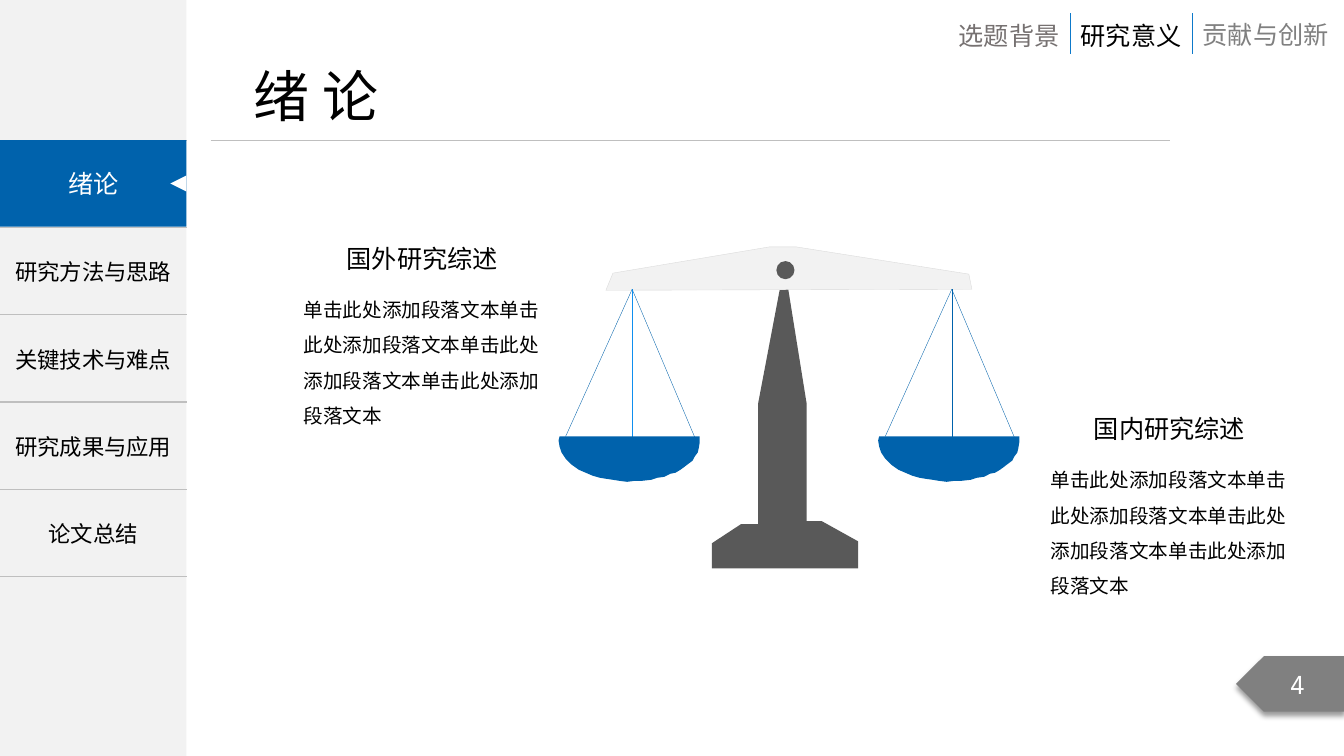
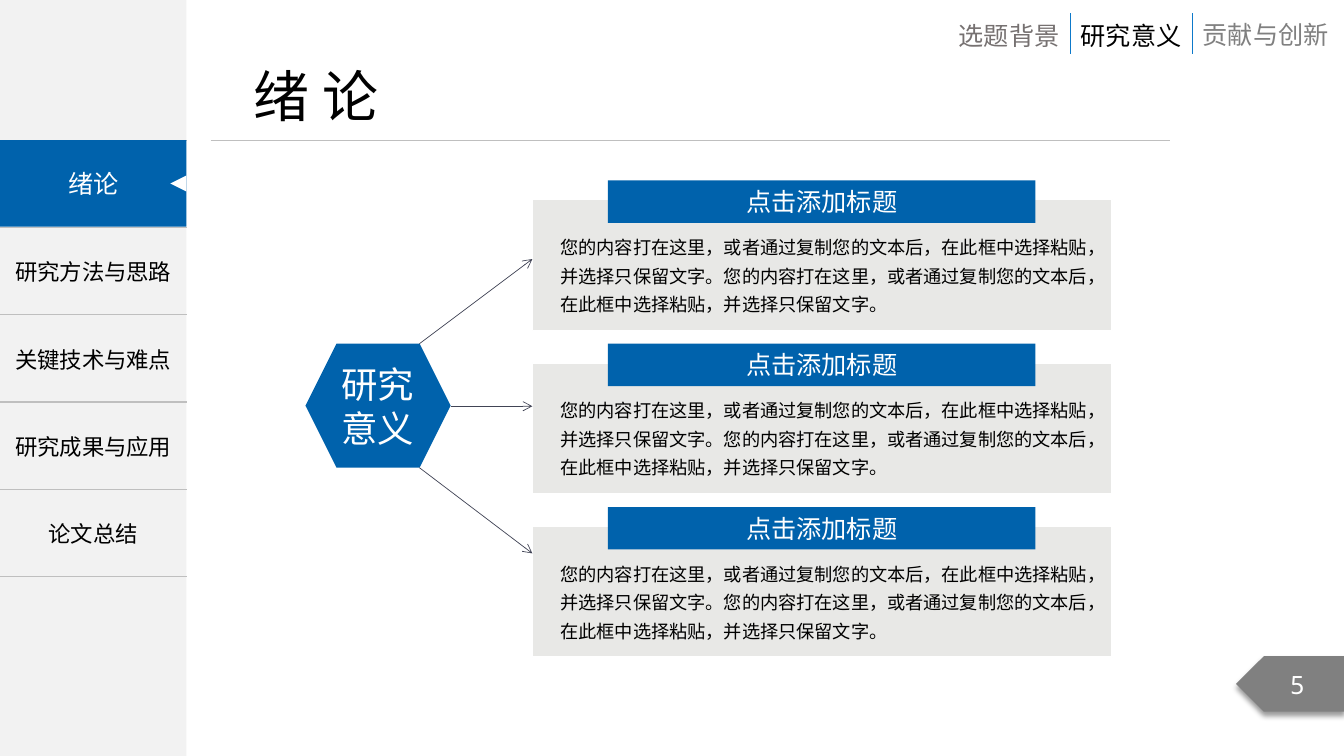
from dataclasses import dataclass
from typing import Optional

from lxml.etree import SubElement
from pptx import Presentation
from pptx.dml.color import RGBColor
from pptx.enum.shapes import MSO_CONNECTOR, MSO_SHAPE as Preset
from pptx.enum.text import MSO_ANCHOR as Anchor, MSO_AUTO_SIZE as AutoSize, PP_ALIGN as Align
from pptx.oxml import parse_xml
from pptx.oxml.ns import nsdecls, qn
from pptx.util import Emu, Pt

# Scale, fonts and colours
EMU_PER_PX = 9144
CJK, MONO = "Noto Sans CJK SC", "Noto Sans Mono"
BLUE, SKY, TAB_BLUE = "0062AC", "0F8FEF", "0D79CA"
BLACK, WHITE, INK = "000000", "FFFFFF", "414455"
PALE, CARD, RULE = "F2F2F2", "E8E8E6", "BFBFBF"
DARK, GRAY, WARM_GRAY, EDGE = "595959", "808080", "767171", "D9D9D9"

Box = tuple[int, int, int, int]
Point = tuple[int, int]


@dataclass(frozen=True)
class Text:
    words: str
    size: int
    color: str = BLACK
    align: Align = Align.LEFT
    spacing: Optional[float] = None
    font: str = CJK
    pad: Point = (10, 5)
    wrap: bool = True


@dataclass(frozen=True)
class Tab:
    words: str
    top: int
    width: int
    color: str


@dataclass(frozen=True)
class Review:
    heading: str
    left: int
    top: int


@dataclass(frozen=True)
class Pan:
    hook_x: int
    middle_cord: str


# Shared content
TABS = (
    Tab("选题背景", 15, 121, WARM_GRAY),
    Tab("研究意义", 15, 121, BLACK),
    Tab("贡献与创新", 14, 146, GRAY),
)
MENU = ("", "研究方法与思路", "关键技术与难点", "研究成果与应用", "论文总结")
MENU_TOP, MENU_WIDTH, MENU_HEIGHT = 139, 185, 433

# Scale slide content
REVIEWS = (Review("国内研究综述", 1033, 405), Review("国外研究综述", 292, 236))
REVIEW_BODY = "单击此处添加段落文本" * 4
PANS = (Pan(944, BLUE), Pan(627, SKY))
HOOK_Y = 287
CORD_ENDS = ((63, 436), (0, 435), (-66, 433))
POST = ((778, 263), (800, 400), (800, 517), (815, 517), (851, 537), (851, 564),
        (706, 564), (706, 539), (735, 520), (752, 520), (752, 400))
BEAM = ((601, 288), (964, 287), (961, 272), (790, 245), (763, 245), (608, 271))
# Bowl outline, measured from its hook
BOWL = ((-72, 433), (-73, 437), (-72, 443), (-70, 449), (-66, 455), (-60, 461),
        (-53, 466), (-46, 469), (-39, 472), (-32, 474), (-26, 475), (-19, 476),
        (-13, 477), (-5, 478), (3, 477), (10, 477), (19, 476), (25, 474),
        (32, 473), (38, 470), (43, 469), (48, 466), (52, 463), (56, 460),
        (60, 457), (62, 453), (65, 449), (66, 445), (67, 439), (67, 433))

# Significance slide content
CARD_COUNT, CARD_TOP, CARD_PITCH = 3, 179, 162
CARD_BODY = "您的内容打在这里，或者通过复制您的文本后，在此框中选择粘贴，并选择只保留文字。" * 2
ARROWS = (((416, 341), (528, 257)), ((447, 403), (528, 403)), ((416, 464), (528, 549)))


def px(length: int) -> Emu:
    return Emu(length * EMU_PER_PX)


def rgb(color: str) -> RGBColor:
    return RGBColor.from_string(color)


def write(frame, text: Text) -> None:
    frame.word_wrap = text.wrap
    frame.margin_left = frame.margin_right = px(text.pad[0])
    frame.margin_top = frame.margin_bottom = px(text.pad[1])
    write_paragraph(frame.paragraphs[0], text)


def write_paragraph(paragraph, text: Text) -> None:
    paragraph.alignment = text.align
    if text.spacing:
        paragraph.line_spacing = text.spacing
    run = paragraph.add_run()
    run.text = text.words
    run.font.size = Pt(text.size)
    run.font.name = text.font
    run.font.color.rgb = rgb(text.color)
    SubElement(run.font._element, qn("a:ea"), typeface=text.font)


def paint(shape, fill: str, edge: Optional[str], weight: float) -> None:
    shape.shadow.inherit = False
    shape.fill.solid()
    shape.fill.fore_color.rgb = rgb(fill)
    if edge:
        shape.line.color.rgb = rgb(edge)
        shape.line.width = Pt(weight)
    else:
        shape.line.fill.background()


def add_block(slide, preset: Preset, box: Box, fill: str, text: Optional[Text] = None,
              edge: Optional[str] = None, weight: float = 1):
    block = slide.shapes.add_shape(preset, *map(px, box))
    paint(block, fill, edge, weight)
    if text:
        write(block.text_frame, text)
        block.text_frame.vertical_anchor = Anchor.MIDDLE
    return block


def add_text(slide, box: Box, text: Text) -> None:
    frame = slide.shapes.add_textbox(*map(px, box)).text_frame
    write(frame, text)
    frame.auto_size = AutoSize.SHAPE_TO_FIT_TEXT


def add_outline(slide, points: tuple[Point, ...], fill: str,
                edge: Optional[str] = None, weight: float = 1) -> None:
    builder = slide.shapes.build_freeform(*points[0], scale=EMU_PER_PX)
    builder.add_line_segments(points[1:], close=True)
    paint(builder.convert_to_shape(), fill, edge, weight)


def add_line(slide, start: Point, end: Point, color: str, weight: float,
             arrow: bool = False) -> None:
    line = slide.shapes.add_connector(MSO_CONNECTOR.STRAIGHT, *map(px, start + end))
    line.line.color.rgb = rgb(color)
    line.line.width = Pt(weight)
    if arrow:
        SubElement(line.line._get_or_add_ln(), qn("a:tailEnd"), type="arrow")
    SubElement(line._element.spPr, qn("a:effectLst"))


# Parts that every slide shares
def set_cell_borders(cell) -> None:
    properties = cell._tc.get_or_add_tcPr()
    solid = f'<a:solidFill><a:srgbClr val="{RULE}"/></a:solidFill>'
    sides = (("lnL", "<a:noFill/>"), ("lnR", "<a:noFill/>"), ("lnT", solid), ("lnB", solid))
    for place, (side, stroke) in enumerate(sides):
        border = f'<a:{side} {nsdecls("a")} w="{Pt(1)}">{stroke}</a:{side}>'
        properties.insert(place, parse_xml(border))


def add_menu(slide) -> None:
    area = (0, MENU_TOP, MENU_WIDTH, MENU_HEIGHT)
    menu = slide.shapes.add_table(len(MENU), 1, *map(px, area)).table
    menu.first_row = menu.horz_banding = False
    for row, words in zip(menu.rows, MENU):
        row.height = Emu(px(MENU_HEIGHT) // len(MENU))
        cell = row.cells[0]
        cell.fill.background()
        set_cell_borders(cell)
        cell.vertical_anchor = Anchor.MIDDLE
        if words:
            write_paragraph(cell.text_frame.paragraphs[0], Text(words, 16, align=Align.CENTER))
    add_block(slide, Preset.RECTANGLE, (0, MENU_TOP, MENU_WIDTH, 86), BLUE,
              Text("绪论", 18, WHITE, Align.CENTER))
    marker = add_block(slide, Preset.ISOSCELES_TRIANGLE, (169, 174, 16, 16), WHITE)
    marker.rotation = 270


def add_tabs(slide) -> None:
    left = 941
    for place, tab in enumerate(TABS):
        if place:
            add_line(slide, (left, 13), (left, 54), TAB_BLUE, 0.5)
        add_text(slide, (left, tab.top, tab.width, 40),
                 Text(tab.words, 18, tab.color, wrap=False))
        left += tab.width


def add_page_number(slide, number: int) -> None:
    badge = add_block(slide, Preset.PENTAGON, (1226, 651, 108, 55), GRAY,
                      Text(str(number), 18, WHITE, Align.CENTER, font=MONO))
    properties = badge._element.spPr
    properties.find(qn("a:xfrm")).set("flipH", "1")
    shadow = SubElement(properties.find(qn("a:effectLst")), qn("a:outerShdw"),
                        blurRad=str(Pt(4)), dist=str(Pt(3)), dir="5400000",
                        algn="t", rotWithShape="0")
    tint = SubElement(shadow, qn("a:srgbClr"), val=BLACK)
    SubElement(tint, qn("a:alpha"), val="40000")


def add_framed_slide(deck, number: int):
    slide = deck.slides.add_slide(deck.slide_layouts[6])
    add_block(slide, Preset.RECTANGLE, (0, 0, MENU_WIDTH, 750), PALE)
    add_line(slide, (209, 139), (1160, 139), RULE, 0.5)
    add_text(slide, (242, 56, 160, 77), Text("绪 论", 40, wrap=False))
    add_page_number(slide, number)
    add_tabs(slide)
    add_menu(slide)
    return slide


# Balance scale between two reviews
def add_pan(slide, pan: Pan) -> None:
    for shift, bottom in CORD_ENDS:
        add_line(slide, (pan.hook_x, HOOK_Y), (pan.hook_x + shift, bottom),
                 BLUE if shift else pan.middle_cord, 0.25)
    add_outline(slide, tuple((pan.hook_x + x, y) for x, y in BOWL), BLUE)


def build_reviews(deck) -> None:
    slide = add_framed_slide(deck, 4)
    add_outline(slide, POST, DARK)
    add_outline(slide, BEAM, PALE, EDGE, 0.25)
    add_block(slide, Preset.OVAL, (770, 259, 18, 18), DARK)
    for pan in PANS:
        add_pan(slide, pan)
    for review in REVIEWS:
        add_text(slide, (review.left + 24, review.top, 206, 39),
                 Text(review.heading, 18, align=Align.CENTER, pad=(9, 5)))
        add_text(slide, (review.left, review.top + 43, 256, 146),
                 Text(REVIEW_BODY, 14, spacing=1.5, pad=(9, 5)))


# Hexagon pointing at three cards
def add_card(slide, top: int) -> None:
    add_block(slide, Preset.RECTANGLE, (528, top + 19, 575, 130), CARD, edge=WHITE)
    add_block(slide, Preset.RECTANGLE, (603, top, 424, 42), BLUE,
              Text("点击添加标题", 18, WHITE, Align.CENTER, pad=(8, 4)))
    add_text(slide, (548, top + 45, 547, 95),
             Text(CARD_BODY, 13, spacing=1.3, pad=(8, 4)))


def build_significance(deck) -> None:
    slide = add_framed_slide(deck, 5)
    for place in range(CARD_COUNT):
        add_card(slide, CARD_TOP + place * CARD_PITCH)
    add_block(slide, Preset.HEXAGON, (303, 341, 144, 123), BLUE,
              Text("研究意义", 26, WHITE, Align.CENTER, pad=(8, 4)))
    for start, end in ARROWS:
        add_line(slide, start, end, INK, 0.5, arrow=True)


def main() -> None:
    deck = Presentation()
    deck.slide_width, deck.slide_height = px(1333), px(750)
    build_reviews(deck)
    build_significance(deck)
    deck.save("out.pptx")


if __name__ == "__main__":
    main()
